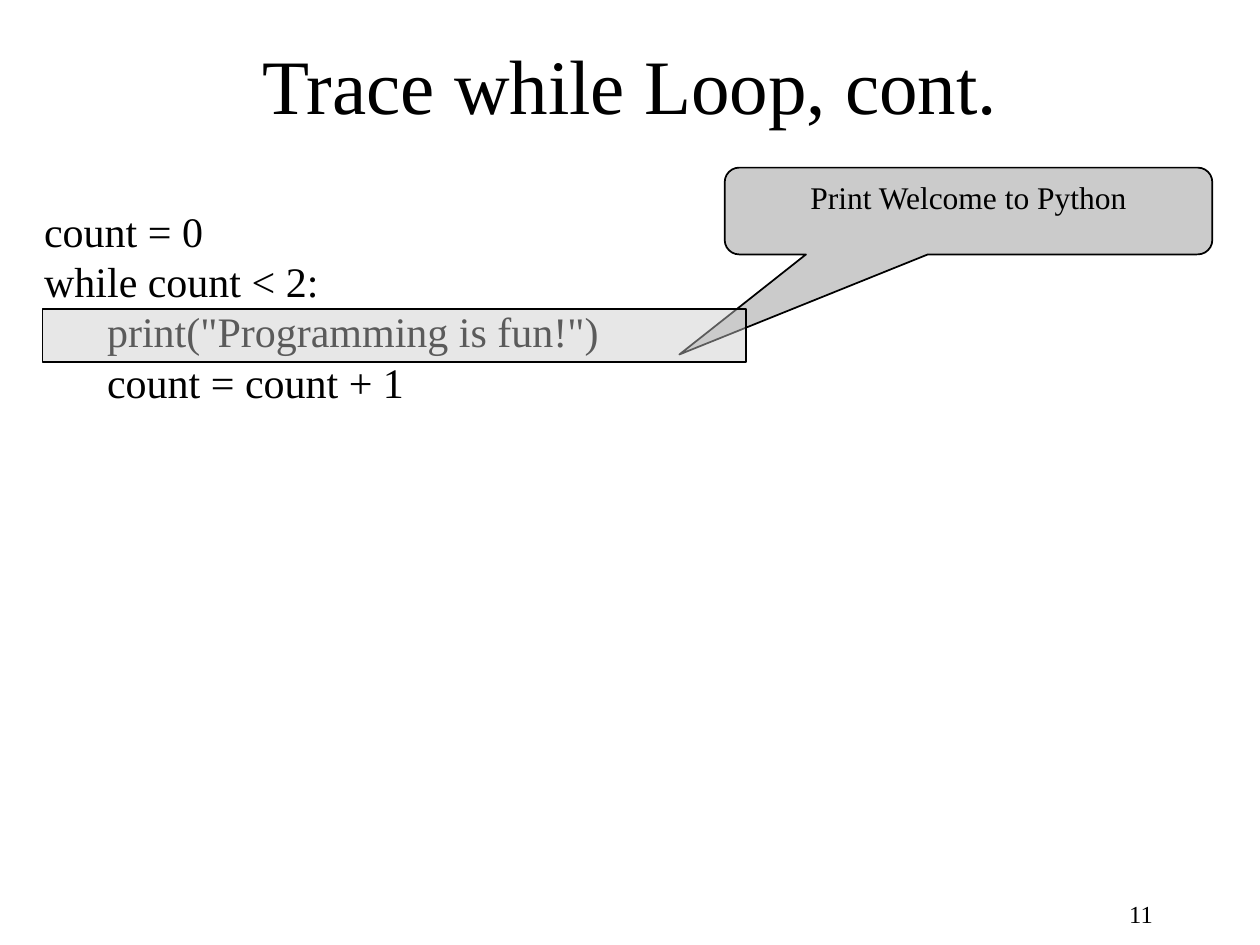
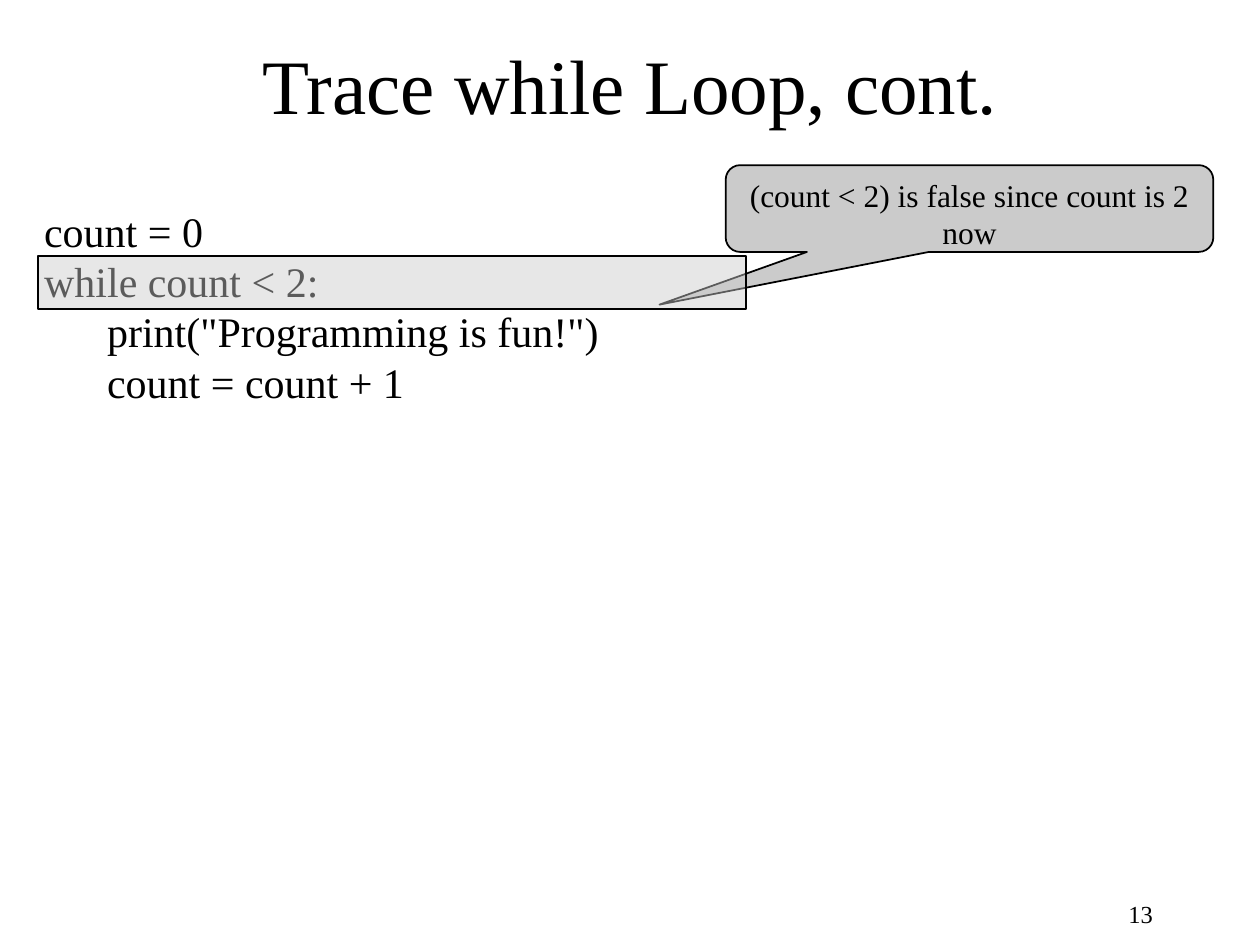
from lxml.etree import SubElement
from pptx import Presentation
from pptx.dml.color import RGBColor
from pptx.enum.shapes import MSO_SHAPE
from pptx.enum.text import MSO_ANCHOR, PP_ALIGN
from pptx.oxml.ns import qn
from pptx.util import Cm, Pt

TITLE = "Trace while Loop, cont."
CODE = [
    (0, "count = 0"),
    (0, "while count < 2:"),
    (1, 'print("Programming is fun!")'),
    (1, "count = count + 1"),
]
STEPS = [
    {
        "number": "11",
        "note": "Print Welcome to Python",
        "note_at": (14.61, 3.38),
        "pointer": (-0.593, 1.653, 0.167),
        "line": 2,
        "bar_left": 0.86,
    },
    {
        "number": "13",
        "note": "(count < 2) is false since count is 2 now",
        "note_at": (14.63, 3.33),
        "pointer": (-0.636, 1.107, 0.167),
        "line": 1,
        "bar_left": 0.76,
    },
]

FONT = "Times New Roman"
BLACK = RGBColor(0x00, 0x00, 0x00)
GRAY = RGBColor(0xCB, 0xCB, 0xCB)
BAR_OPACITY = 45
BAR_RIGHT = 15.04
FIRST_LINE_TOP = 4.09
LINE_HEIGHT = 1.07
INDENT = 1.27
NOTE_SIZE = (9.83, 1.75)


def style_text(frame, size, align, anchor=MSO_ANCHOR.TOP):
    frame.word_wrap = True
    frame.vertical_anchor = anchor
    for para in frame.paragraphs:
        para.alignment = align
        for span in para.runs:
            span.font.name = FONT
            span.font.size = Pt(size)
            span.font.color.rgb = BLACK


def add_text(page, place, text, size, align, anchor=MSO_ANCHOR.TOP):
    box = page.shapes.add_textbox(*map(Cm, place))
    box.text_frame.text = text
    style_text(box.text_frame, size, align, anchor)
    return box


def add_gray_shape(page, kind, place):
    shape = page.shapes.add_shape(kind, *map(Cm, place))
    shape.shadow.inherit = False
    shape.fill.solid()
    shape.fill.fore_color.rgb = GRAY
    shape.line.color.rgb = BLACK
    shape.line.width = Pt(1)
    return shape


def add_code(page):
    text = "\n".join(line for _, line in CODE)
    box = add_text(page, (0.64, 4.01, 14.81, 4.37), text, 24, PP_ALIGN.LEFT)
    for para, (level, _) in zip(box.text_frame.paragraphs, CODE):
        para._p.get_or_add_pPr().set("marL", str(Cm(INDENT * level)))


def add_note(page, step):
    note = add_gray_shape(
        page, MSO_SHAPE.ROUNDED_RECTANGULAR_CALLOUT, step["note_at"] + NOTE_SIZE
    )
    for index, value in enumerate(step["pointer"]):
        note.adjustments[index] = value
    note.text_frame.text = step["note"]
    style_text(note.text_frame, 18, PP_ALIGN.CENTER)


def add_bar(page, step):
    left = step["bar_left"]
    top = FIRST_LINE_TOP + LINE_HEIGHT * step["line"]
    bar = add_gray_shape(
        page, MSO_SHAPE.RECTANGLE, (left, top, BAR_RIGHT - left, LINE_HEIGHT)
    )
    color = bar.fill._xPr.find(qn("a:solidFill"))[0]
    SubElement(color, qn("a:alpha")).set("val", str(BAR_OPACITY * 1000))


def add_step(deck, step):
    page = deck.slides.add_slide(deck.slide_layouts[6])
    add_text(page, (18.21, 17.78, 5.28, 1.27), step["number"], 14,
             PP_ALIGN.RIGHT, MSO_ANCHOR.MIDDLE)
    add_text(page, (1.91, 0.64, 21.59, 2.11), TITLE, 44,
             PP_ALIGN.CENTER, MSO_ANCHOR.MIDDLE)
    add_code(page)
    add_note(page, step)
    add_bar(page, step)


def main():
    deck = Presentation()
    deck.slide_width = Cm(25.4)
    deck.slide_height = Cm(19.05)
    for step in STEPS:
        add_step(deck, step)
    deck.save("out.pptx")


if __name__ == "__main__":
    main()
